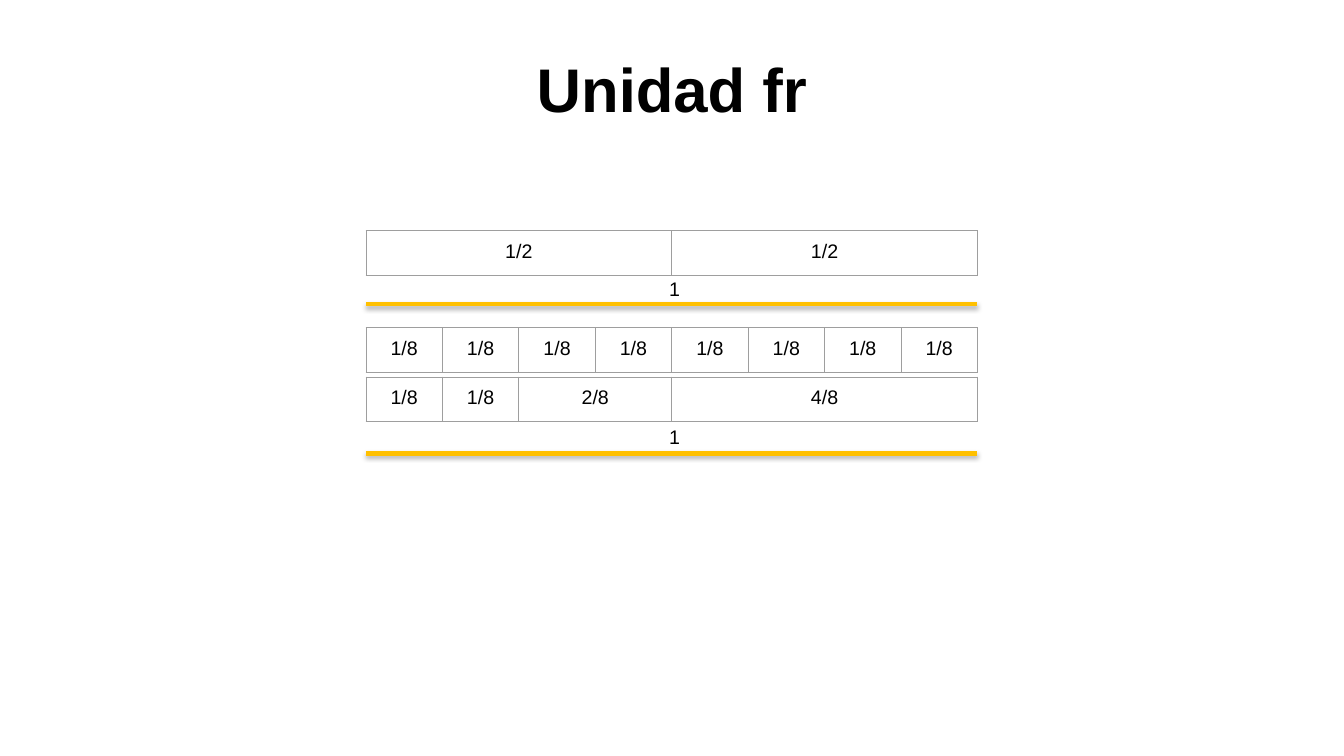
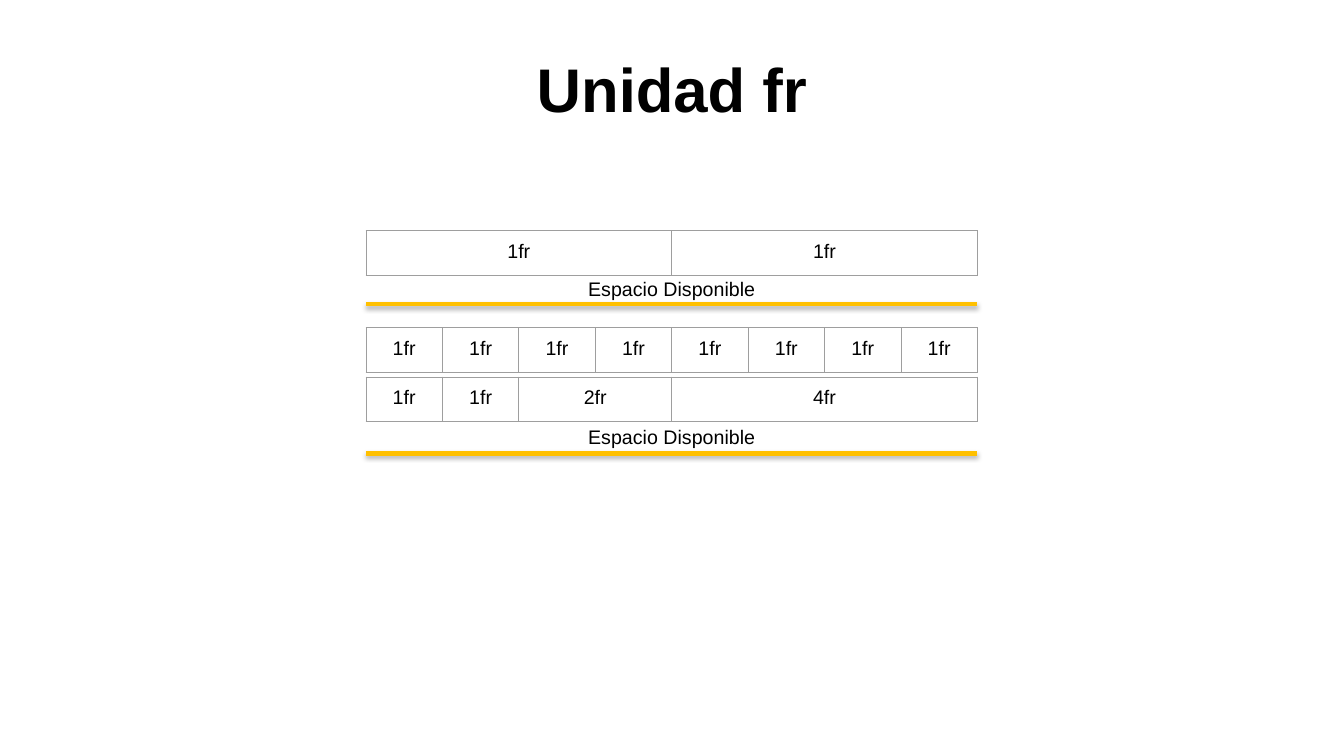
from lxml import etree
from pptx import Presentation
from pptx.dml.color import RGBColor
from pptx.enum.shapes import MSO_CONNECTOR
from pptx.enum.text import MSO_AUTO_SIZE, PP_ALIGN
from pptx.oxml import parse_xml
from pptx.util import Pt

LEFT, CENTER = PP_ALIGN.LEFT, PP_ALIGN.CENTER
GROW = MSO_AUTO_SIZE.SHAPE_TO_FIT_TEXT
STRAIGHT = MSO_CONNECTOR.STRAIGHT
NS = "http://schemas.openxmlformats.org/drawingml/2006/main"
COLORS = {"text": "000000", "grid": "9E9E9E", "bar": "FFC000", "shade": "000000"}
FONT = "Arial"
WIDE, HIGH = 960, 540
EDGE, SPAN, TALL = 261.4, 436.8, 31.7
ROWS = [(164.9, [1, 1]), (234, [1] * 8), (269.3, [1, 1, 2, 4])]
BARS = [(217.4, 194.4), (324, 300.2)]
SLIDES = [
    ("{part}/{total}", "1", 470.9, 36.7, LEFT),
    ("{part}fr", "Espacio Disponible", EDGE, SPAN, CENTER),
]
SHADOW = f"""<a:effectLst xmlns:a="{NS}">
  <a:outerShdw blurRad="{Pt(3.1)}" dist="{Pt(1.8)}" dir="5400000" rotWithShape="0">
    <a:srgbClr val="{COLORS['shade']}"><a:alpha val="35000"/></a:srgbClr>
  </a:outerShdw>
</a:effectLst>"""
BORDER = f"""<a:{{side}} xmlns:a="{NS}" w="{Pt(0.75)}">
  <a:solidFill><a:srgbClr val="{COLORS['grid']}"/></a:solidFill>
</a:{{side}}>"""


def write(frame, text, size, align, bold=False):
    frame.text = text
    para = frame.paragraphs[0]
    para.alignment = align
    font = para.runs[0].font
    font.name, font.size, font.bold = FONT, Pt(size), bold
    font.color.rgb = RGBColor.from_string(COLORS["text"])


def label(slide, box, text, size, align, bold=False):
    frame = slide.shapes.add_textbox(*map(Pt, box)).text_frame
    frame.word_wrap = True
    frame.auto_size = GROW
    write(frame, text, size, align, bold)


deck = Presentation()
deck.slide_width, deck.slide_height = Pt(WIDE), Pt(HIGH)

for form, note, left, width, align in SLIDES:
    slide = deck.slides.add_slide(deck.slide_layouts[6])
    label(slide, (0, 33.1, WIDE, 60.5), "Unidad fr", 44, CENTER, True)

    for top, parts in ROWS:
        total = sum(parts)
        table = slide.shapes.add_table(
            1, len(parts), Pt(EDGE), Pt(top), Pt(SPAN), Pt(TALL)
        ).table
        table.first_row = table.horz_banding = False
        for col, cell, part in zip(table.columns, table.rows[0].cells, parts):
            col.width = Pt(SPAN * part / total)
            cell.margin_left = cell.margin_right = Pt(7.2)
            cell.margin_top = cell.margin_bottom = Pt(7.2)
            write(cell.text_frame, form.format(part=part, total=total), 14, CENTER)
            cell.fill.background()
            props = cell._tc.get_or_add_tcPr()
            for spot, side in enumerate(("lnL", "lnR", "lnT", "lnB")):
                props.insert(spot, etree.fromstring(BORDER.format(side=side)))

    for level, top in BARS:
        bar = slide.shapes.add_connector(
            STRAIGHT, Pt(EDGE), Pt(level), Pt(EDGE + SPAN), Pt(level)
        )
        bar.line.width = Pt(3)
        bar.line.color.rgb = RGBColor.from_string(COLORS["bar"])
        bar.element.spPr.append(parse_xml(SHADOW))
        label(slide, (left, top, width, 24.2), note, 14, align)

deck.save("out.pptx")
